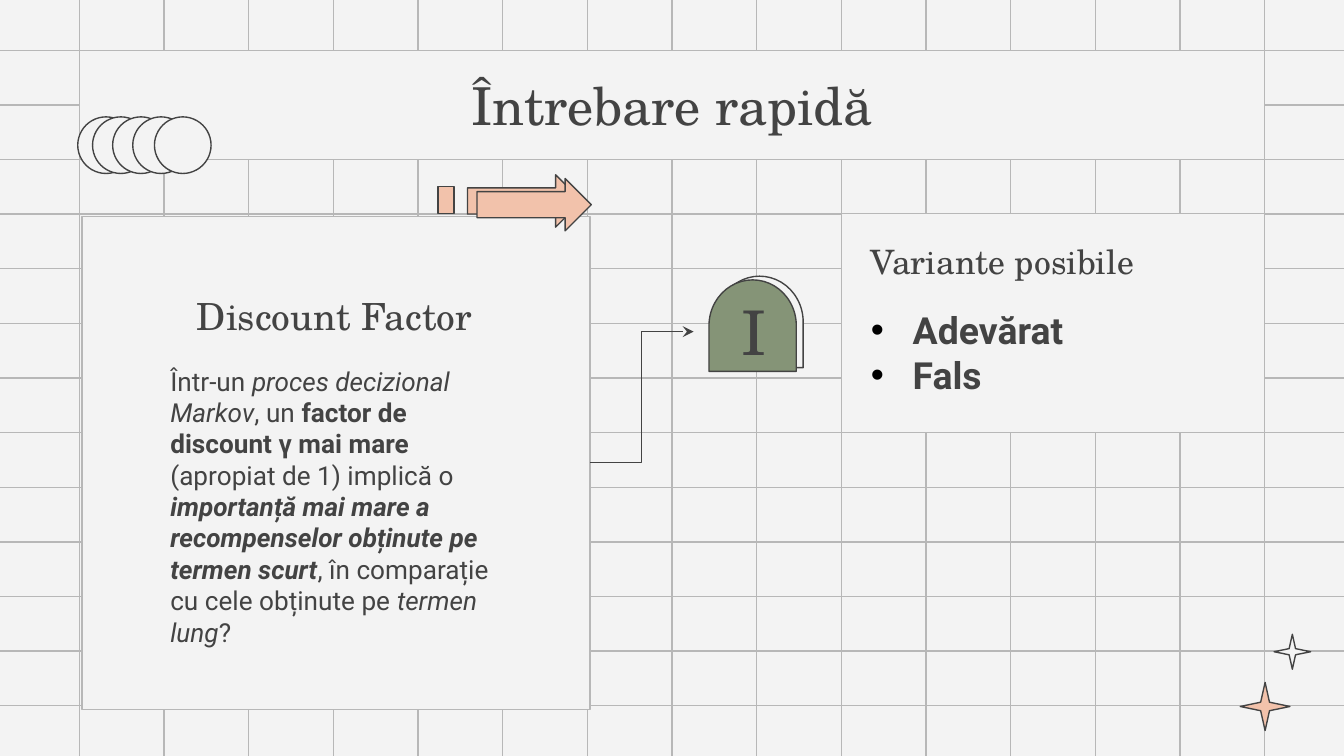
from dataclasses import dataclass

from lxml import etree
from pptx import Presentation
from pptx.dml.color import RGBColor
from pptx.enum.shapes import MSO_CONNECTOR, MSO_SHAPE
from pptx.enum.text import MSO_ANCHOR, MSO_AUTO_SIZE, PP_ALIGN
from pptx.oxml.ns import qn
from pptx.util import Cm, Pt

RECT, OVAL = MSO_SHAPE.RECTANGLE, MSO_SHAPE.OVAL
STAR, DELAY, ARROW = MSO_SHAPE.STAR_4_POINT, MSO_SHAPE.FLOWCHART_DELAY, MSO_SHAPE.UP_ARROW
STRAIGHT, ELBOW = MSO_CONNECTOR.STRAIGHT, MSO_CONNECTOR.ELBOW
TOP, MIDDLE, BOTTOM = MSO_ANCHOR.TOP, MSO_ANCHOR.MIDDLE, MSO_ANCHOR.BOTTOM
LEFT, CENTER = PP_ALIGN.LEFT, PP_ALIGN.CENTER


@dataclass(frozen=True)
class Theme:
    paper: str = "F3F3F3"
    grid: str = "B7B7B7"
    ink: str = "434343"
    peach: str = "F2C2AB"
    green: str = "859477"
    bullet: str = "000000"
    serif: str = "TeX Gyre Schola"
    sans: str = "Roboto"
    title: int = 28
    numeral: int = 33
    heading: int = 20
    subheading: int = 18
    body: int = 14
    answer: int = 20
    stroke: float = 0.75


THEME = Theme()
WIDTH, HEIGHT = 25.4, 14.29

TITLE = [[("Întrebare rapidă", "")]]
HEADING = [[("Discount Factor", "")]]
QUESTION = [[
    ("Într-un ", ""),
    ("proces decizional Markov", "i"),
    (", un ", ""),
    ("factor de discount γ mai mare ", "b"),
    ("(apropiat de 1) implică o ", ""),
    ("importanță mai mare a recompenselor obținute pe termen scurt", "bi"),
    (", în comparație cu cele obținute pe ", ""),
    ("termen lung", "i"),
    ("?", ""),
]]
OPTIONS_HEADING = [[("Variante posibile", "")]]
OPTIONS = [[("Adevărat", "b")], [("Fals", "b")]]
NUMERAL = [[("I", "")]]

TITLE_AREA = (1.5, 0.95, 22.4, 2.07)
CARDS = [(1.55, 4.09, 9.6, 9.32), (15.9, 4.04, 8, 4.14)]
STARS = [((23.44, 12.9, 0.94, 0.91), THEME.peach), ((24.08, 11.99, 0.69, 0.66), THEME.paper)]
BADGES = [((13.49, 5.26, 1.73, 1.65), THEME.paper), ((13.36, 5.33, 1.73, 1.65), THEME.green)]
ARROWS = [(9.42, 2.72, 0.99, 2.16), (9.6, 2.79, 0.99, 2.16)]
ARROW_TAIL = (8.28, 3.53, 0.3, 0.51)
CIRCLE_LEFTS = [1.47, 1.75, 2.13, 2.51, 2.92]
CIRCLE_TOP, CIRCLE_SIZE = 2.21, 1.07
LINK = (11.15, 8.74, 13.11, 6.27)

TEXTS = [
    ((2.97, 5.49, 6.71, 1.14), HEADING, THEME.serif, THEME.heading, BOTTOM, CENTER, False),
    ((2.97, 6.65, 6.71, 5.28), QUESTION, THEME.sans, THEME.body, TOP, LEFT, False),
    ((16.21, 4.42, 7.24, 1.14), OPTIONS_HEADING, THEME.serif, THEME.subheading, BOTTOM, LEFT, False),
    ((16.21, 5.56, 7.24, 2.29), OPTIONS, THEME.sans, THEME.answer, TOP, LEFT, True),
]
NUMERAL_AREA = (13.11, 5.69, 2.29, 1.14)

GRID_LEFT, COLUMN_STEP, COLUMNS = 1.5, 1.6, 15
GRID_TOP, ROWS = 0.95, 13
ROW_STEP = (HEIGHT / 2 - GRID_TOP) / (ROWS // 2)
BLEED = 0.1


def rgb(colour):
    return RGBColor.from_string(colour)


def paint(shape, fill, line):
    shape.fill.solid()
    shape.fill.fore_color.rgb = rgb(fill)
    shape.line.color.rgb = rgb(line)
    shape.line.width = Pt(THEME.stroke)


def add_figure(page, kind, area, fill, line=THEME.ink, turn=0):
    shape = page.shapes.add_shape(kind, *map(Cm, area))
    shape.shadow.inherit = False
    shape.rotation = turn
    paint(shape, fill, line)


def add_line(page, kind, ends, colour):
    line = page.shapes.add_connector(kind, *map(Cm, ends))
    line.line.color.rgb = rgb(colour)
    line.line.width = Pt(THEME.stroke)
    etree.SubElement(line.element.spPr, qn("a:effectLst"))
    return line


def add_bullet(para):
    properties = para._p.get_or_add_pPr()
    properties.set("marL", str(Cm(0.79)))
    properties.set("indent", str(Cm(-0.79)))
    colour = etree.SubElement(properties, qn("a:buClr"))
    etree.SubElement(colour, qn("a:srgbClr"), val=THEME.bullet)
    etree.SubElement(properties, qn("a:buFont"), typeface="Arial")
    etree.SubElement(properties, qn("a:buChar"), char="•")


def write(box, paragraphs, font, size, anchor, align, bulleted=False):
    frame = box.text_frame
    frame.word_wrap = True
    frame.auto_size = MSO_AUTO_SIZE.NONE
    frame.vertical_anchor = anchor
    frame.margin_left = frame.margin_right = Cm(0.25)
    frame.margin_top = frame.margin_bottom = Cm(0.25)
    for index, spans in enumerate(paragraphs):
        para = frame.add_paragraph() if index else frame.paragraphs[0]
        para.alignment = align
        if bulleted:
            add_bullet(para)
        for text, style in spans:
            span = para.add_run()
            span.text = text
            span.font.name = font
            span.font.size = Pt(size)
            span.font.color.rgb = rgb(THEME.ink)
            span.font.bold = "b" in style
            span.font.italic = "i" in style


def add_text(page, area, *content):
    write(page.shapes.add_textbox(*map(Cm, area)), *content)


def add_grid(page):
    for column in range(COLUMNS):
        x = GRID_LEFT + column * COLUMN_STEP
        add_line(page, STRAIGHT, (x, -BLEED, x, HEIGHT + BLEED), THEME.grid)
    for row in range(ROWS):
        y = GRID_TOP + row * ROW_STEP
        add_line(page, STRAIGHT, (-BLEED, y, WIDTH + BLEED, y), THEME.grid)


def place_title(page):
    title = page.shapes.title
    title.left, title.top, title.width, title.height = map(Cm, TITLE_AREA)
    paint(title, THEME.paper, THEME.grid)
    write(title, TITLE, THEME.serif, THEME.title, MIDDLE, CENTER)
    page.shapes.element.append(title.element)


def main():
    deck = Presentation()
    deck.slide_width, deck.slide_height = Cm(WIDTH), Cm(HEIGHT)
    page = deck.slides.add_slide(deck.slide_layouts[5])
    page.background.fill.solid()
    page.background.fill.fore_color.rgb = rgb(THEME.paper)

    add_grid(page)
    for area, fill in STARS:
        add_figure(page, STAR, area, fill)
    for area in CARDS:
        add_figure(page, RECT, area, THEME.paper, THEME.grid)
    place_title(page)
    for text in TEXTS:
        add_text(page, *text)

    link = add_line(page, ELBOW, LINK, THEME.ink)
    etree.SubElement(link.line._get_or_add_ln(), qn("a:tailEnd"), type="stealth", w="med", len="med")

    for area, fill in BADGES:
        add_figure(page, DELAY, area, fill, turn=270)
    add_figure(page, RECT, ARROW_TAIL, THEME.peach)
    for area in ARROWS:
        add_figure(page, ARROW, area, THEME.peach, turn=90)
    for left in CIRCLE_LEFTS:
        add_figure(page, OVAL, (left, CIRCLE_TOP, CIRCLE_SIZE, CIRCLE_SIZE), THEME.paper)
    add_text(page, NUMERAL_AREA, NUMERAL, THEME.serif, THEME.numeral, MIDDLE, CENTER)

    deck.save("out.pptx")


if __name__ == "__main__":
    main()
